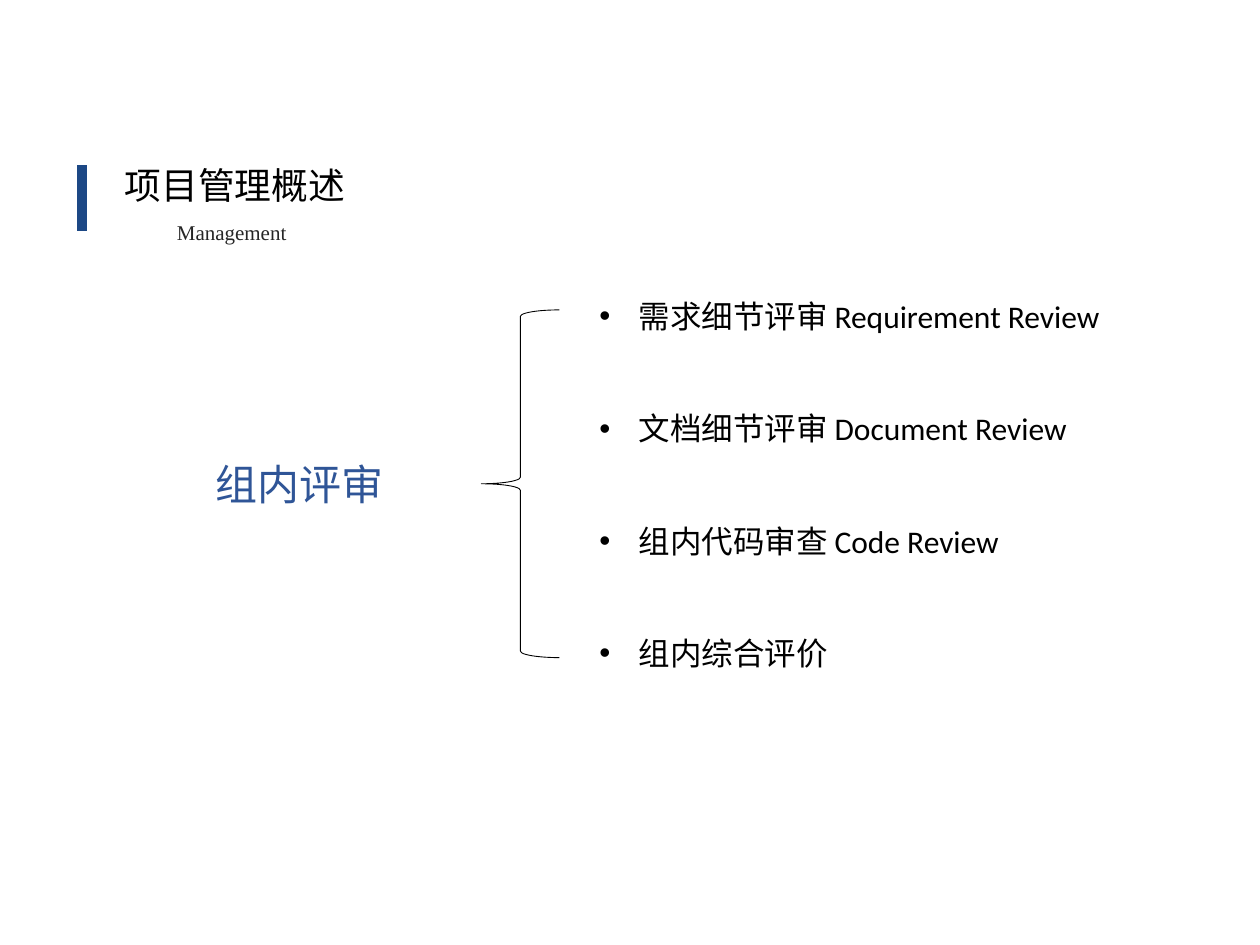
from lxml import etree
from pptx import Presentation
from pptx.dml.color import RGBColor
from pptx.enum.shapes import MSO_CONNECTOR, MSO_SHAPE
from pptx.enum.text import MSO_ANCHOR, PP_ALIGN
from pptx.oxml.ns import qn
from pptx.util import Inches, Pt

LEFT, CENTER = PP_ALIGN.LEFT, PP_ALIGN.CENTER
MIDDLE = MSO_ANCHOR.MIDDLE
STRAIGHT = MSO_CONNECTOR.STRAIGHT
LEFT_BRACE = MSO_SHAPE.LEFT_BRACE

BLACK = RGBColor(0x00, 0x00, 0x00)
CHARCOAL = RGBColor(0x26, 0x26, 0x26)
NAVY = RGBColor(0x1C, 0x48, 0x85)
BLUE = RGBColor(0x2F, 0x55, 0x97)

SLIDE_WIDTH, SLIDE_HEIGHT = Inches(10), Inches(7.5)
COLUMN = ROW = Inches(0.1)
CHINESE_FONT = "Noto Sans CJK SC"

TITLE = {"name": CHINESE_FONT, "size": Pt(21), "color": BLACK}
SUBTITLE = {"name": "Times New Roman", "size": Pt(12), "color": CHARCOAL}
TOPIC = {"name": CHINESE_FONT, "size": Pt(24), "color": BLUE}
ITEM = {"name": "Calibri", "size": Pt(18), "color": BLACK}

REVIEWS = [
    "需求细节评审 Requirement Review",
    "文档细节评审 Document Review",
    "组内代码审查 Code Review",
    "组内综合评价",
]


def grid(column, row, columns, rows):
    return (round(column * COLUMN), round(row * ROW),
            round(columns * COLUMN), round(rows * ROW))


def apply_format(font, values):
    for name, value in values.items():
        if name == "color":
            font.color.rgb = value
        else:
            setattr(font, name, value)


def set_indent(paragraph, margin, first_line=0, bullet=None):
    properties = paragraph._p.get_or_add_pPr()
    properties.set("marL", str(Inches(margin)))
    properties.set("indent", str(Inches(first_line)))
    if bullet:
        etree.SubElement(properties, qn("a:buFont")).set("typeface", "Arial")
        etree.SubElement(properties, qn("a:buChar")).set("char", bullet)


def add_text(slide, place, lines, values, alignment=LEFT, indent=None, gap=0):
    frame = slide.shapes.add_textbox(*place).text_frame
    frame.word_wrap = True
    frame.vertical_anchor = MIDDLE
    for index, line in enumerate(lines):
        paragraph = frame.add_paragraph() if index else frame.paragraphs[0]
        paragraph.alignment = alignment
        if index:
            paragraph.space_before = Pt(gap)
        if indent:
            set_indent(paragraph, *indent)
        run = paragraph.add_run()
        run.text = line
        apply_format(run.font, values)
        if values["name"] == CHINESE_FONT:
            east_asian = etree.SubElement(run._r.get_or_add_rPr(), qn("a:ea"))
            east_asian.set("typeface", CHINESE_FONT)


def add_accent(slide, place):
    left, top, width, height = place
    accent = slide.shapes.add_connector(
        STRAIGHT, left, top, left + width, top + height)
    accent.line.color.rgb = NAVY
    accent.line.width = Pt(6)
    etree.SubElement(accent._element.spPr, qn("a:effectLst"))


def add_brace(slide, place):
    brace = slide.shapes.add_shape(LEFT_BRACE, *place)
    brace.shadow.inherit = False
    brace.fill.background()
    brace.line.color.rgb = BLACK
    brace.line.width = Pt(0.5)


def main():
    presentation = Presentation()
    presentation.slide_width = SLIDE_WIDTH
    presentation.slide_height = SLIDE_HEIGHT
    slide = presentation.slides.add_slide(presentation.slide_layouts[6])

    add_text(slide, grid(3.6, 16.9, 24.6, 3), ["Management"], SUBTITLE,
             CENTER, indent=(0.5,))
    add_accent(slide, grid(6.5, 13.1, 0, 5.2))
    add_text(slide, grid(6.5, 35.9, 34.5, 5), ["组内评审"], TOPIC, CENTER)
    add_text(slide, grid(8.9, 12.4, 23.1, 4.5), ["项目管理概述"], TITLE)
    add_text(slide, grid(46.6, 22.8, 78, 31.3), REVIEWS, ITEM,
             indent=(0.31, -0.31, "•"), gap=42.6)
    add_brace(slide, grid(38.2, 24.6, 6.2, 27.6))
    presentation.save("out.pptx")


if __name__ == "__main__":
    main()
